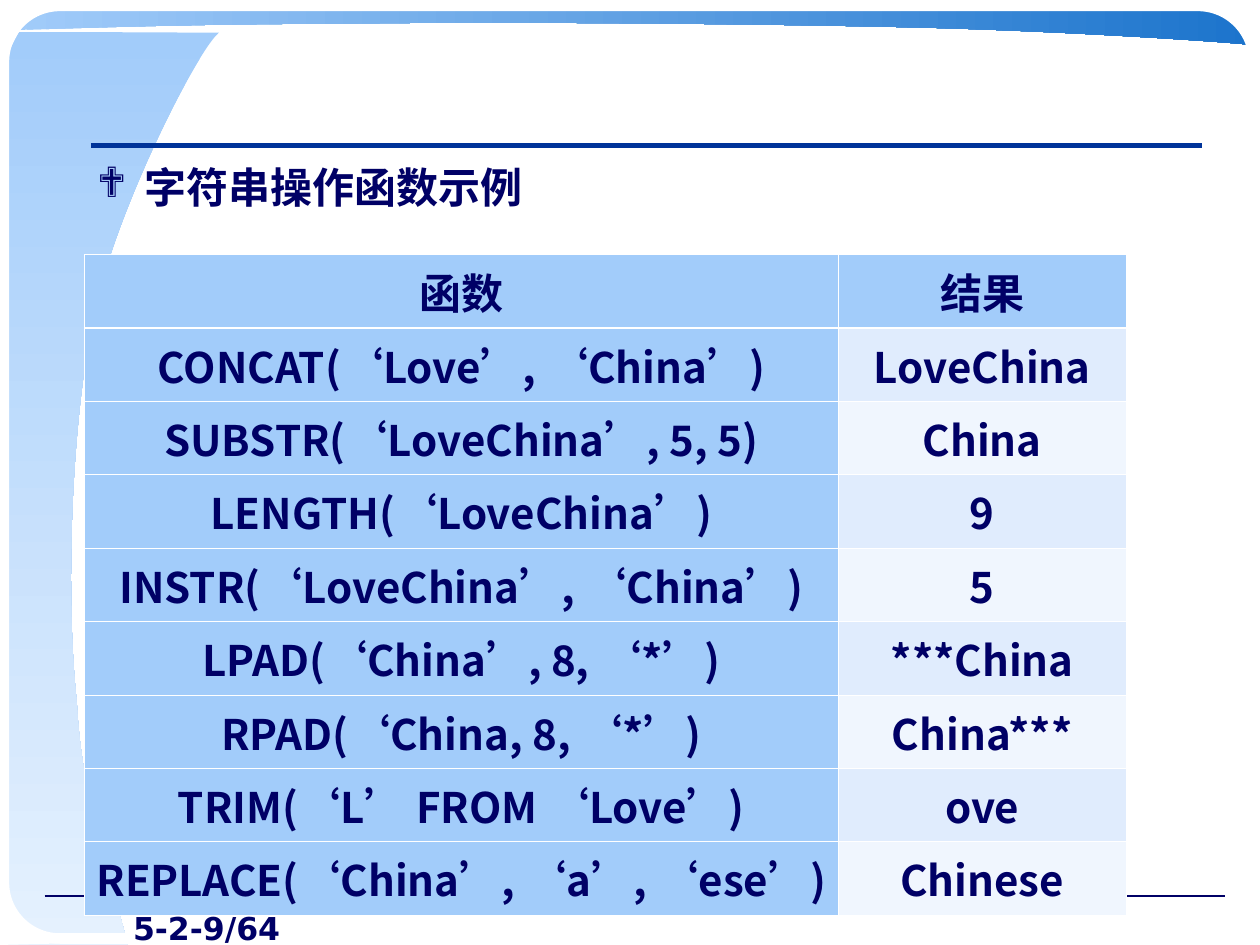
from lxml import etree
from pptx import Presentation
from pptx.dml.color import RGBColor
from pptx.enum.lang import MSO_LANGUAGE_ID
from pptx.enum.shapes import MSO_CONNECTOR, MSO_SHAPE
from pptx.enum.text import MSO_ANCHOR, PP_ALIGN
from pptx.oxml.ns import qn
from pptx.util import Cm, Pt

CHINESE = MSO_LANGUAGE_ID.SIMPLIFIED_CHINESE
STRAIGHT = MSO_CONNECTOR.STRAIGHT
ROUNDED = MSO_SHAPE.ROUNDED_RECTANGLE
TOP, MIDDLE = MSO_ANCHOR.TOP, MSO_ANCHOR.MIDDLE
CENTER, RIGHT = PP_ALIGN.CENTER, PP_ALIGN.RIGHT

HEADING = "字符串操作函数示例"
PAGE_NUMBER = "5-2-9/64"
EXAMPLES = [
    ("函数", "结果"),
    ("CONCAT(‘Love’, ‘China’)", "LoveChina"),
    ("SUBSTR(‘LoveChina’, 5, 5)", "China"),
    ("LENGTH(‘LoveChina’)", "9"),
    ("INSTR(‘LoveChina’, ‘China’)", "5"),
    ("LPAD(‘China’, 8, ‘*’)", "***China"),
    ("RPAD(‘China, 8, ‘*’)", "China***"),
    ("TRIM(‘L’ FROM ‘Love’)", "ove"),
    ("REPLACE(‘China’, ‘a’, ‘ese’)", "Chinese"),
]
COLUMN_WIDTHS = (15.2, 5.8)
ROW_HEIGHT = 1.48

HEADING_FONT, NUMBER_FONT, BULLET_FONT = "Noto Sans CJK SC", "DejaVu Sans", "Wingdings"
NAVY, RULE_BLUE, WHITE = "000066", "003399", "FFFFFF"
SKY, PALE, DEEP = "A2CCFA", "E5F1FE", "1C74CC"
RESULT_BANDS = ("E0ECFD", "F0F6FE")

# Outlines in cm: two numbers are a corner, six are a Bézier curve.
SIDEBAR = [(2.57, 19.05), (2.41, 18.24, 1.65, 16.31, 1.55, 14.17),
           (1.32, 12.04, 1.42, 8.56, 1.91, 6.25),
           (2.41, 4.04, 4.06, 0.89, 4.42, 0.66), (0.03, 0.64), (0, 19.05)]
RIBBON = [(0.18, 0.61), (1.3, 0.58, 3.78, 0.48, 6.88, 0.48),
          (9.8, 0.43, 15.54, 0.48, 18.69, 0.56),
          (21.69, 0.64, 24.94, 0.86, 25.25, 0.91), (25.27, 0.18), (0.18, 0.18)]
BOTTOM_LEFT = [(1.22, 19.02), (0.48, 18.67), (0.13, 18.29), (0, 17.73), (0, 19.05)]
TOP_LEFT = [(0, 1.4), (0.1, 1.24, 0.33, 0.66, 0.53, 0.43),
            (0.71, 0.2, 1.27, 0.1, 1.22, 0), (0, 0.03)]
BOTTOM_RIGHT = [(25.37, 17.78), (25.07, 18.42), (24.66, 18.82), (24.28, 19.05),
                (25.4, 19.02)]
TOP_RIGHT = [(24.16, 0.03), (24.28, 0.08, 24.69, 0.05, 25.04, 0.43),
             (25.37, 0.81, 25.32, 1.52, 25.37, 1.45), (25.37, 0.03)]


def color(value):
    return RGBColor.from_string(value)


def bend(area, outline):
    """Join each run of three segments that stands for a curve into one Bézier."""
    segments = iter(area._element.findall(".//" + qn("a:lnTo")))
    for part in outline[1:]:
        first = next(segments)
        if len(part) == 6:
            first.tag = qn("a:cubicBezTo")
            for _ in range(2):
                segment = next(segments)
                first.append(segment[0])
                segment.getparent().remove(segment)


def add_outline(shapes, outline, colors, angle=0):
    start, *rest = [(Cm(part[i]), Cm(part[i + 1]))
                    for part in outline for i in range(0, len(part), 2)]
    builder = shapes.build_freeform(*start)
    builder.add_line_segments(rest, close=True)
    area = builder.convert_to_shape()
    bend(area, outline)
    area.shadow.inherit = False
    area.line.fill.background()
    if len(colors) == 1:
        area.fill.solid()
        area.fill.fore_color.rgb = color(colors[0])
    else:
        area.fill.gradient()
        area.fill.gradient_angle = angle
        for stop, value in zip(area.fill.gradient_stops, colors):
            stop.color.rgb = color(value)


def add_rule(shapes, left, right, y, value, width):
    rule = shapes.add_connector(STRAIGHT, Cm(left), Cm(y), Cm(right), Cm(y))
    rule.line.color.rgb = color(value)
    rule.line.width = Pt(width)
    etree.SubElement(rule._element.spPr, qn("a:effectLst"))


def add_frame(shapes):
    frame = shapes.add_shape(ROUNDED, Cm(0.08), Cm(0.12), Cm(25.2), Cm(18.8))
    frame.adjustments[0] = 0.06
    frame.shadow.inherit = False
    frame.fill.background()
    frame.line.color.rgb = color(WHITE)
    frame.line.width = Pt(6)


def add_run(paragraph, text, size, typeface):
    run = paragraph.add_run()
    run.text = text
    font = run.font
    font.size, font.bold, font.name = Pt(size), True, typeface
    font.color.rgb = color(NAVY)
    font.language_id = CHINESE
    east_asian = etree.Element(qn("a:ea"), typeface=typeface)
    font._element.find(qn("a:latin")).addnext(east_asian)


def add_textbox(shapes, left, top, width, height):
    """Add a wrapping text box and return its first paragraph."""
    frame = shapes.add_textbox(Cm(left), Cm(top), Cm(width), Cm(height)).text_frame
    frame.word_wrap = True
    return frame.paragraphs[0]


def add_bullet(paragraph, symbol, indent):
    properties = paragraph._p.get_or_add_pPr()
    properties.set("marL", str(Cm(indent)))
    properties.set("indent", str(-Cm(indent)))
    bullet_color = etree.SubElement(properties, qn("a:buClr"))
    etree.SubElement(bullet_color, qn("a:srgbClr"), val=NAVY)
    etree.SubElement(properties, qn("a:buFont"), typeface=BULLET_FONT, charset="2")
    etree.SubElement(properties, qn("a:buChar"), char=symbol)


def set_borders(cell, widths):
    """Draw white borders; widths are points for left, right, top, bottom."""
    properties = cell._tc.get_or_add_tcPr()
    for side, width in zip("LRTB", widths):
        border = etree.SubElement(properties, qn(f"a:ln{side}"), w=str(Pt(width)))
        fill = etree.SubElement(border, qn("a:solidFill"))
        etree.SubElement(fill, qn("a:srgbClr"), val=WHITE)


def add_examples(shapes):
    table = shapes.add_table(len(EXAMPLES), len(COLUMN_WIDTHS), Cm(1.7), Cm(5.13),
                             Cm(sum(COLUMN_WIDTHS)),
                             Cm(ROW_HEIGHT * len(EXAMPLES))).table
    for column, width in zip(table.columns, COLUMN_WIDTHS):
        column.width = Cm(width)
    for r, example in enumerate(EXAMPLES):
        table.rows[r].height = Cm(ROW_HEIGHT)
        above = 1.5 if r == 1 else 0.45
        below = 1.5 if r == 0 else 0.45
        for c, text in enumerate(example):
            cell = table.cell(r, c)
            set_borders(cell, (0.45, 0.45, above, below))
            cell.fill.solid()
            cell.fill.fore_color.rgb = color(
                RESULT_BANDS[(r - 1) % 2] if r and c else SKY)
            cell.margin_left = cell.margin_right = Cm(0.2)
            cell.margin_top = cell.margin_bottom = Cm(0.13)
            cell.vertical_anchor = MIDDLE if r else TOP
            paragraph = cell.text_frame.paragraphs[0]
            paragraph.alignment = CENTER
            add_run(paragraph, text, 24, HEADING_FONT)


def main():
    deck = Presentation()
    deck.slide_width, deck.slide_height = Cm(25.4), Cm(19.05)
    shapes = deck.slides.add_slide(deck.slide_layouts[6]).shapes

    add_outline(shapes, SIDEBAR, (SKY, PALE), 270)
    add_outline(shapes, RIBBON, (SKY, DEEP))
    add_rule(shapes, 0.9, 24.7, 18.06, NAVY, 0.75)
    add_frame(shapes)
    for corner in (BOTTOM_LEFT, TOP_LEFT, BOTTOM_RIGHT, TOP_RIGHT):
        add_outline(shapes, corner, (WHITE,))
    add_rule(shapes, 1.83, 24.23, 2.93, RULE_BLUE, 3)

    number = add_textbox(shapes, 0, 18.2, 5.9, 0.86)
    number.alignment = RIGHT
    add_run(number, PAGE_NUMBER, 18, NUMBER_FONT)

    heading = add_textbox(shapes, 1.71, 3.14, 22.8, 14.8)
    add_bullet(heading, "❖", 0.95)
    add_run(heading, HEADING, 24, HEADING_FONT)

    add_examples(shapes)
    deck.save("out.pptx")


if __name__ == "__main__":
    main()
